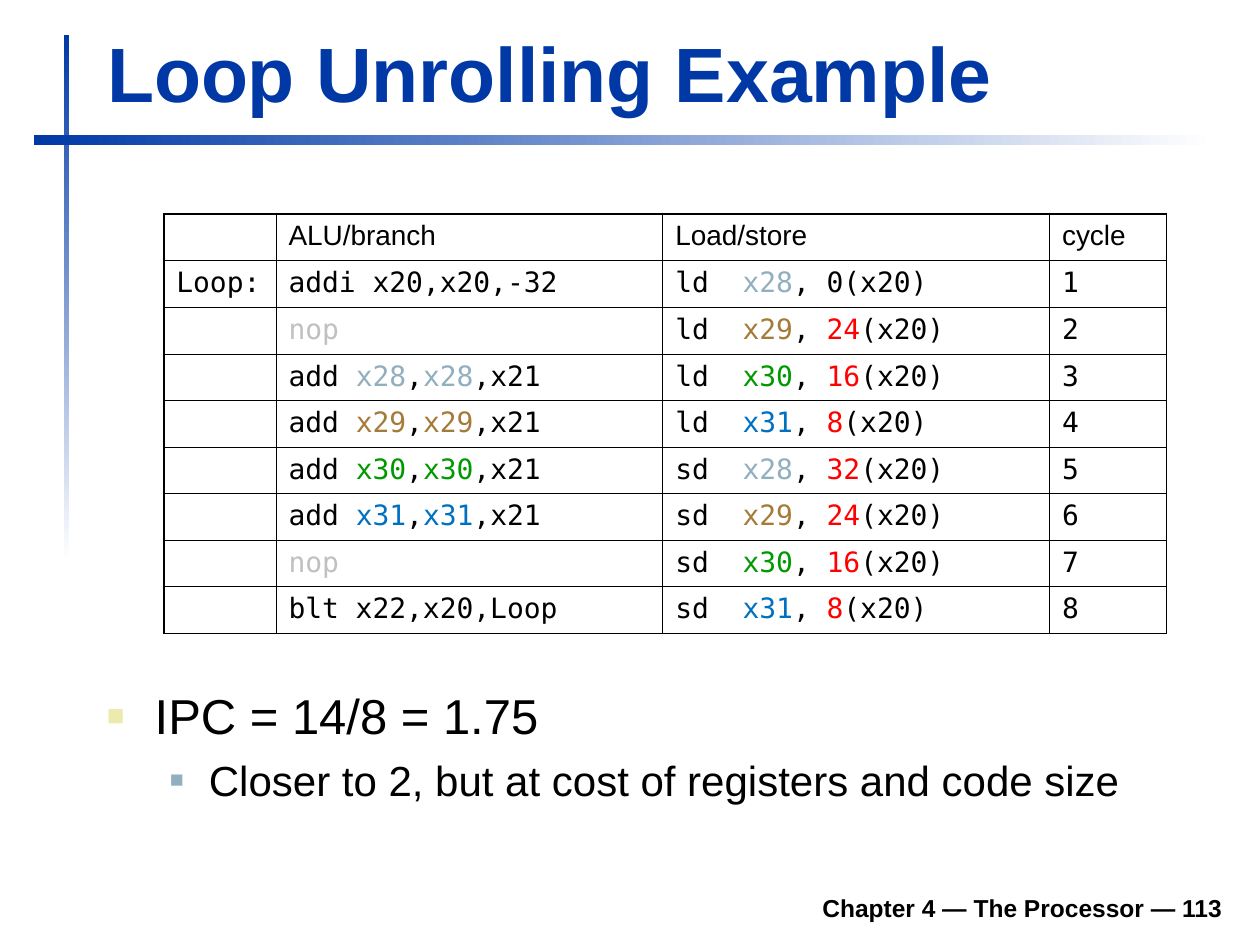
"""Build the loop unrolling slide with its dual-issue schedule table."""
from typing import NamedTuple

from lxml import etree
from pptx import Presentation
from pptx import util as u
from pptx.dml.color import RGBColor
from pptx.enum import shapes, text
from pptx.oxml import ns

BLACK, BLUE, RED, GREY = "000000", "0039A6", "FF0000", "C0C0C0"
SANS, MONO = "Arial", "DejaVu Sans Mono"
REGISTER_COLORS = {"x28": "91AFBF", "x29": "A47B38", "x30": "009900", "x31": "0070C0"}
COLUMN_WIDTHS = (0.89, 3.07, 3.07, 0.93)
ROW_HEIGHT = 0.37


class Box(NamedTuple):
    left: float
    top: float
    width: float
    height: float

    def lengths(self) -> list:
        return [u.Inches(value) for value in self]


class Piece(NamedTuple):
    words: str
    color: str = BLACK


class Rule(NamedTuple):
    box: Box
    angle: int


class Bullet(NamedTuple):
    words: str
    size: int
    color: str
    scale: int
    margin: float
    indent: float
    space_before: int


RULES = (Rule(Box(0.51, 0.28, 0.04, 4.17), 270), Rule(Box(0.27, 1.07, 9.37, 0.08), 0))
BULLETS = (
    Bullet("IPC = 14/8 = 1.75", 28, "ECEAAC", 60, 0.38, -0.38, 0),
    Bullet("Closer to 2, but at cost of registers and code size", 24, "91AFBF", 55, 0.81, -0.31, 6),
)


def rgb(value: str) -> RGBColor:
    return RGBColor.from_string(value)


def register(name: str) -> Piece:
    return Piece(name, REGISTER_COLORS[name])


def add(name: str) -> list[Piece]:
    return [Piece("add "), register(name), Piece(","), register(name), Piece(",x21")]


def memory(operation: str, name: str, offset: int, color: str = RED) -> list[Piece]:
    return [Piece(f"{operation}  "), register(name), Piece(", "), Piece(str(offset), color), Piece("(x20)")]


NOP = [Piece("nop", GREY)]
SCHEDULE = (
    ([Piece("addi x20,x20,-32")], memory("ld", "x28", 0, BLACK)),
    (NOP, memory("ld", "x29", 24)),
    (add("x28"), memory("ld", "x30", 16)),
    (add("x29"), memory("ld", "x31", 8)),
    (add("x30"), memory("sd", "x28", 32)),
    (add("x31"), memory("sd", "x29", 24)),
    (NOP, memory("sd", "x30", 16)),
    ([Piece("blt x22,x20,Loop")], memory("sd", "x31", 8)),
)


def set_font(paragraph, size: int, name: str = SANS, color: str = BLACK, bold: bool = False) -> None:
    font = paragraph.font
    font.size, font.name, font.bold = u.Pt(size), name, bold
    font.color.rgb = rgb(color)


def draw_rule(slide, rule: Rule) -> None:
    shape = slide.shapes.add_shape(shapes.MSO_SHAPE.RECTANGLE, *rule.box.lengths())
    shape.shadow.inherit = False
    shape.line.fill.background()
    shape.fill.gradient()
    shape.fill.gradient_angle = rule.angle
    for stop, color in zip(shape.fill.gradient_stops, (BLUE, "FFFFFF")):
        stop.color.rgb = rgb(color)


def draw_title(slide) -> None:
    title = slide.shapes.title
    title.left, title.top, title.width, title.height = Box(0.75, 0.16, 9.03, 0.83).lengths()
    frame = title.text_frame
    frame.text = "Loop Unrolling Example"
    frame.vertical_anchor = text.MSO_ANCHOR.BOTTOM
    frame.auto_size = text.MSO_AUTO_SIZE.NONE
    frame.paragraphs[0].alignment = text.PP_ALIGN.LEFT
    set_font(frame.paragraphs[0], 44, color=BLUE, bold=True)


def draw_footer(slide) -> None:
    frame = slide.shapes.add_textbox(*Box(1.85, 6.98, 7.95, 0.39).lengths()).text_frame
    frame.word_wrap = True
    frame.vertical_anchor = text.MSO_ANCHOR.BOTTOM
    paragraph = frame.paragraphs[0]
    paragraph.text = "Chapter 4 — The Processor — 113"
    paragraph.alignment = text.PP_ALIGN.RIGHT
    set_font(paragraph, 14, bold=True)


def add_bullet(paragraph, bullet: Bullet) -> None:
    paragraph.text = bullet.words
    paragraph.space_before = u.Pt(bullet.space_before)
    properties = paragraph._p.get_or_add_pPr()
    properties.set("marL", str(u.Inches(bullet.margin)))
    properties.set("indent", str(u.Inches(bullet.indent)))
    color = etree.SubElement(properties, ns.qn("a:buClr"))
    etree.SubElement(color, ns.qn("a:srgbClr"), val=bullet.color)
    etree.SubElement(properties, ns.qn("a:buSzPct"), val=str(bullet.scale * 1000))
    etree.SubElement(properties, ns.qn("a:buFont"), typeface=SANS)
    etree.SubElement(properties, ns.qn("a:buChar"), char="■")
    set_font(paragraph, bullet.size)


def draw_bullets(slide) -> None:
    frame = slide.shapes.add_textbox(*Box(0.75, 5.35, 9.04, 1.47).lengths()).text_frame
    frame.word_wrap = True
    frame.margin_top = u.Inches(0.09)
    for level, bullet in enumerate(BULLETS):
        paragraph = frame.add_paragraph() if level else frame.paragraphs[0]
        paragraph.level = level
        add_bullet(paragraph, bullet)


def set_borders(cell, widths: dict[str, float]) -> None:
    properties = cell._tc.get_or_add_tcPr()
    for side, width in widths.items():
        line = etree.SubElement(properties, ns.qn(f"a:ln{side}"), w=str(u.Pt(width)))
        fill = etree.SubElement(line, ns.qn("a:solidFill"))
        etree.SubElement(fill, ns.qn("a:srgbClr"), val=BLACK)


def fill_cell(cell, pieces: list[Piece], font_name: str) -> None:
    paragraph = cell.text_frame.paragraphs[0]
    if not pieces:
        cell.margin_top = cell.margin_bottom = u.Inches(0.02)
    for piece in pieces:
        run = paragraph.add_run()
        run.text = piece.words
        if piece.color != BLACK:
            run.font.color.rgb = rgb(piece.color)
    set_font(paragraph, 16, font_name)


def draw_schedule(slide) -> None:
    rows = [[[], [Piece("ALU/branch")], [Piece("Load/store")], [Piece("cycle")]]]
    for cycle, (alu, load_store) in enumerate(SCHEDULE, start=1):
        label = [Piece("Loop:")] if cycle == 1 else []
        rows.append([label, alu, load_store, [Piece(str(cycle))]])
    last_row, last_column = len(rows) - 1, len(COLUMN_WIDTHS) - 1
    box = Box(1.3, 1.7, sum(COLUMN_WIDTHS), ROW_HEIGHT * len(rows))
    table = slide.shapes.add_table(len(rows), len(COLUMN_WIDTHS), *box.lengths()).table
    table.first_row = table.horz_banding = False
    for column, width in zip(table.columns, COLUMN_WIDTHS):
        column.width = u.Inches(width)
    for i, row in enumerate(rows):
        table.rows[i].height = u.Inches(ROW_HEIGHT)
        for j, pieces in enumerate(row):
            cell = table.cell(i, j)
            set_borders(cell, {
                "L": 1.08 if j == 0 else 0.45,
                "R": 1.08 if j == last_column else 0.45,
                "T": {0: 1.08, 1: 0.75}.get(i, 0.45),
                "B": {0: 0.75, last_row: 1.08}.get(i, 0.45),
            })
            cell.fill.background()
            fill_cell(cell, pieces, MONO if i else SANS)


def main() -> None:
    presentation = Presentation()
    presentation.slide_width, presentation.slide_height = u.Inches(10), u.Inches(7.5)
    slide = presentation.slides.add_slide(presentation.slide_layouts[5])
    for rule in RULES:
        draw_rule(slide, rule)
    draw_footer(slide)
    draw_title(slide)
    draw_bullets(slide)
    draw_schedule(slide)
    presentation.save("out.pptx")


if __name__ == "__main__":
    main()
